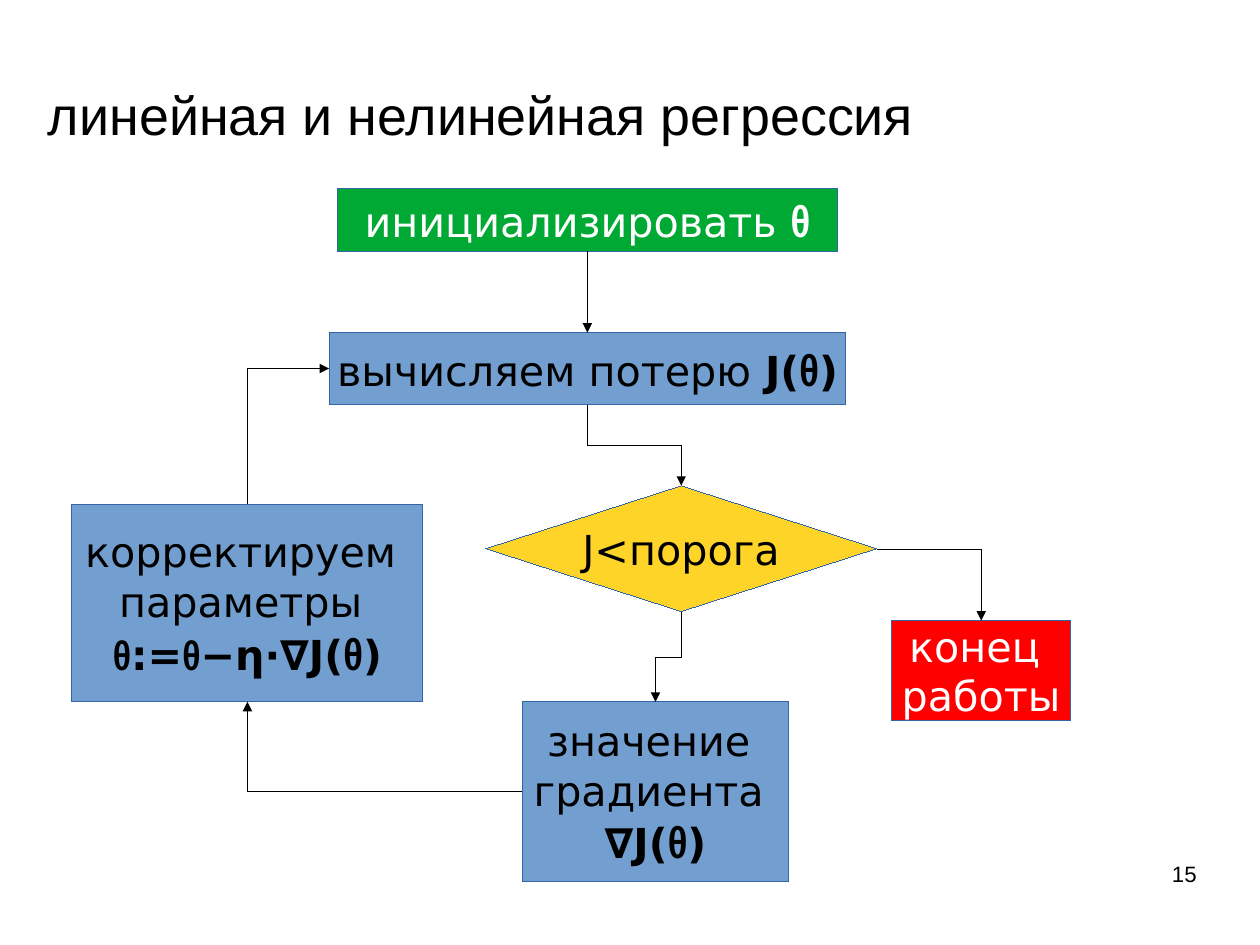
"""Build a slide with a flowchart of gradient descent for regression."""
from pptx import Presentation
from pptx.dml.color import RGBColor
from pptx.enum.shapes import MSO_CONNECTOR, MSO_SHAPE
from pptx.enum.text import MSO_ANCHOR, PP_ALIGN
from pptx.oxml.ns import qn
from pptx.util import Cm, Inches, Pt
from lxml.etree import SubElement

BLACK = RGBColor(0x00, 0x00, 0x00)
WHITE = RGBColor(0xFF, 0xFF, 0xFF)
GREEN = RGBColor(0x00, 0xA9, 0x33)
BLUE = RGBColor(0x72, 0x9F, 0xCF)
YELLOW = RGBColor(0xFF, 0xD4, 0x28)
RED = RGBColor(0xFF, 0x00, 0x00)
OUTLINE = RGBColor(0x34, 0x65, 0xA4)
HAIRLINE = Pt(0.01)

PLAIN = ("DejaVu Sans", 26, False)
MATH = ("DejaVu Sans", 26, True)
THETA = ("Arial Narrow", 28, True)
THETA_SMALL = ("Arial Narrow", 26, True)
TITLE = ("Arial", 33.9, False)
NUMBER = ("Arial", 14, False)

TOP, LEFT, BOTTOM, RIGHT = range(4)
RECT, DIAMOND = MSO_SHAPE.RECTANGLE, MSO_SHAPE.DIAMOND

NODES = {
    "init": (RECT, 2.32, 0, 4.38, 0.55, GREEN, WHITE,
             [[("инициализировать ", PLAIN), ("θ", THETA)]]),
    "loss": (RECT, 2.25, 1.26, 4.52, 0.63, BLUE, BLACK,
             [[("вычисляем потерю ", PLAIN), ("J(", MATH), ("θ", THETA), (")", MATH)]]),
    "test": (DIAMOND, 3.62, 2.6, 3.42, 1.1, YELLOW, BLACK,
             [[("J<порога", PLAIN)]]),
    "end": (RECT, 7.17, 3.78, 1.57, 0.87, RED, WHITE,
            [[("конец ", PLAIN)], [("работы", PLAIN)]]),
    "gradient": (RECT, 3.94, 4.49, 2.33, 1.57, BLUE, BLACK,
                 [[("значение ", PLAIN)], [("градиента ", PLAIN)],
                  [("∇J(", MATH), ("θ", THETA), (")", MATH)]]),
    "update": (RECT, 0, 2.76, 3.07, 1.73, BLUE, BLACK,
               [[("корректируем ", PLAIN)], [("параметры ", PLAIN)],
                [("θ", THETA_SMALL), (":=", MATH), ("θ", THETA_SMALL),
                 ("−η⋅∇J(", MATH), ("θ", THETA), (")", MATH)]]),
}

ARROWS = [
    ("init", BOTTOM, "loss", TOP, "bentConnector3", 270, "H"),
    ("loss", BOTTOM, "test", TOP, "bentConnector3", 270, "H"),
    ("test", RIGHT, "end", TOP, "bentConnector2", 0, ""),
    ("test", BOTTOM, "gradient", TOP, "bentConnector3", 90, ""),
    ("gradient", LEFT, "update", BOTTOM, "bentConnector2", 180, ""),
    ("update", TOP, "loss", LEFT, "bentConnector2", 90, "HV"),
]


def add_runs(p, runs, color):
    """Add styled runs to a paragraph."""
    for text, (font, size, bold) in runs:
        r = p.add_run()
        r.text = text
        r.font.name, r.font.size, r.font.bold = font, Pt(size), bold
        r.font.color.rgb = color


def add_node(slide, x, y, node):
    """Draw one flowchart block at an offset from the chart's corner."""
    kind, left, top, width, height, fill, color, lines = node
    sp = slide.shapes.add_shape(kind, Inches(x + left), Inches(y + top),
                                Inches(width), Inches(height))
    sp.shadow.inherit = False
    sp.fill.solid()
    sp.fill.fore_color.rgb = fill
    sp.line.color.rgb = OUTLINE
    sp.line.width = HAIRLINE
    tf = sp.text_frame
    tf.word_wrap = False
    tf.vertical_anchor = MSO_ANCHOR.MIDDLE
    for i, runs in enumerate(lines):
        p = tf.add_paragraph() if i else tf.paragraphs[0]
        p.alignment = PP_ALIGN.CENTER
        add_runs(p, runs, color)
    return sp


def add_arrow(slide, nodes, arrow):
    """Glue an arrow to two blocks and set the route it takes."""
    start, start_site, end, end_site, preset, turn, flips = arrow
    cn = slide.shapes.add_connector(MSO_CONNECTOR.ELBOW, 0, 0, 0, 0)
    cn.begin_connect(nodes[start], start_site)
    cn.end_connect(nodes[end], end_site)
    cn.line.color.rgb = BLACK
    cn.line.width = HAIRLINE
    if turn in (90, 270):
        shift = (cn.width - cn.height) // 2
        cn.left, cn.top = cn.left + shift, cn.top - shift
        cn.width, cn.height = cn.height, cn.width
    props = cn._element.spPr
    xfrm = props.find(qn("a:xfrm"))
    xfrm.set("rot", str(turn * 60000))
    for axis in "HV":
        xfrm.set("flip" + axis, str(int(axis in flips)))
    props.find(qn("a:prstGeom")).set("prst", preset)
    SubElement(props.find(qn("a:ln")), qn("a:tailEnd"), type="triangle")
    SubElement(props, qn("a:effectLst"))


def add_flowchart(slide, x, y):
    """Draw the blocks and the arrows between them."""
    nodes = {name: add_node(slide, x, y, node) for name, node in NODES.items()}
    for arrow in ARROWS:
        add_arrow(slide, nodes, arrow)


def add_label(slide, x, y, width, height, text, style, align, anchor):
    """Place a line of text in a box without margins."""
    sp = slide.shapes.add_textbox(Inches(x), Inches(y), Inches(width), Inches(height))
    tf = sp.text_frame
    tf.word_wrap = True
    tf.margin_left = tf.margin_right = tf.margin_top = tf.margin_bottom = 0
    tf.vertical_anchor = anchor
    p = tf.paragraphs[0]
    p.alignment = align
    add_runs(p, [(text, style)], BLACK)


def main():
    """Assemble the slide and save it."""
    prs = Presentation()
    prs.slide_width, prs.slide_height = Cm(28), Cm(21)
    slide = prs.slides.add_slide(prs.slide_layouts[6])
    add_flowchart(slide, 0.63, 1.65)
    add_label(slide, 0.42, 0.71, 9.37, 0.57, "линейная и нелинейная регрессия",
              TITLE, PP_ALIGN.LEFT, MSO_ANCHOR.MIDDLE)
    add_label(slide, 7.9, 7.53, 2.57, 0.57, "15", NUMBER, PP_ALIGN.RIGHT, MSO_ANCHOR.TOP)
    prs.save("out.pptx")


if __name__ == "__main__":
    main()
